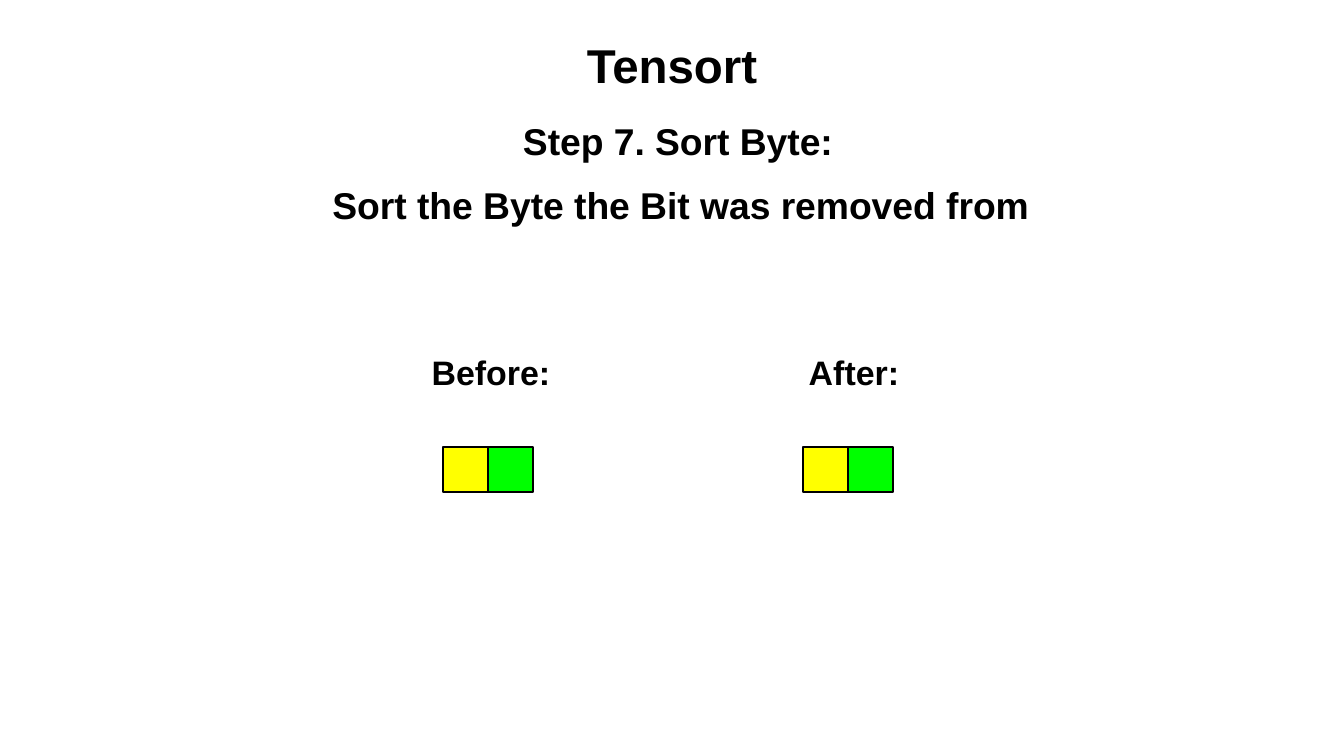
from pptx import Presentation
from pptx.dml.color import RGBColor
from pptx.enum.shapes import MSO_SHAPE
from pptx.enum.text import MSO_ANCHOR, PP_ALIGN
from pptx.util import Emu, Pt

EMU_PER_PX = 7495  # 122 px to the inch
FONT = "Arial"
BLACK, YELLOW, GREEN = "000000", "FFFF00", "00FF00"
BIT_SIZE = 45
BIT_TOP = 447


def px(length):
    return Emu(length * EMU_PER_PX)


def color(hex_string):
    return RGBColor.from_string(hex_string)


def place(box, left, top, width, height):
    box.left, box.top = px(left), px(top)
    box.width, box.height = px(width), px(height)


def write(box, text, size, align=PP_ALIGN.CENTER, anchor=MSO_ANCHOR.MIDDLE, inset=(0, 0)):
    frame = box.text_frame
    frame.text = text
    frame.word_wrap = True
    frame.vertical_anchor = anchor
    frame.margin_left = frame.margin_right = px(inset[0])
    frame.margin_top = frame.margin_bottom = px(inset[1])
    para = frame.paragraphs[0]
    para.alignment = align
    para.space_before = Pt(0)
    for span in para.runs:
        span.font.name = FONT
        span.font.size = Pt(size)
        span.font.bold = True
        span.font.color.rgb = color(BLACK)


def add_step_line(page, text, left, top, width, height, align):
    box = page.shapes.add_textbox(px(left), px(top), px(width), px(height))
    write(box, text, 22, align, MSO_ANCHOR.TOP, (12, 6))


def add_byte(page, left, bit_colors):
    for index, fill in enumerate(bit_colors):
        bit = page.shapes.add_shape(
            MSO_SHAPE.RECTANGLE, px(left + index * BIT_SIZE), px(BIT_TOP),
            px(BIT_SIZE), px(BIT_SIZE))
        bit.shadow.inherit = False
        bit.fill.solid()
        bit.fill.fore_color.rgb = color(fill)
        bit.line.color.rgb = color(BLACK)
        bit.line.width = Pt(1)


def main():
    deck = Presentation()
    deck.slide_width, deck.slide_height = px(1344), px(756)
    page = deck.slides.add_slide(deck.slide_layouts[0])

    # Title and step description
    title = page.shapes.title
    place(title, 67, 1, 1210, 127)
    write(title, "Tensort", 28)
    add_step_line(page, "Step 7. Sort Byte:", 511, 112, 727, 95, PP_ALIGN.LEFT)
    add_step_line(page, "Sort the Byte the Bit was removed from ",
                  122, 176, 1128, 68, PP_ALIGN.CENTER)

    # Headings of the two states
    before = page.placeholders[1]
    after = page.shapes.add_textbox(0, 0, 0, 0)
    for heading, text, left in ((before, "Before:", 374), (after, "After:", 737)):
        place(heading, left, 326, 234, 92)
        write(heading, text, 20)

    # The Byte before and after sorting
    for left in (443, 803):
        add_byte(page, left, (YELLOW, GREEN))

    deck.save("out.pptx")


if __name__ == "__main__":
    main()
